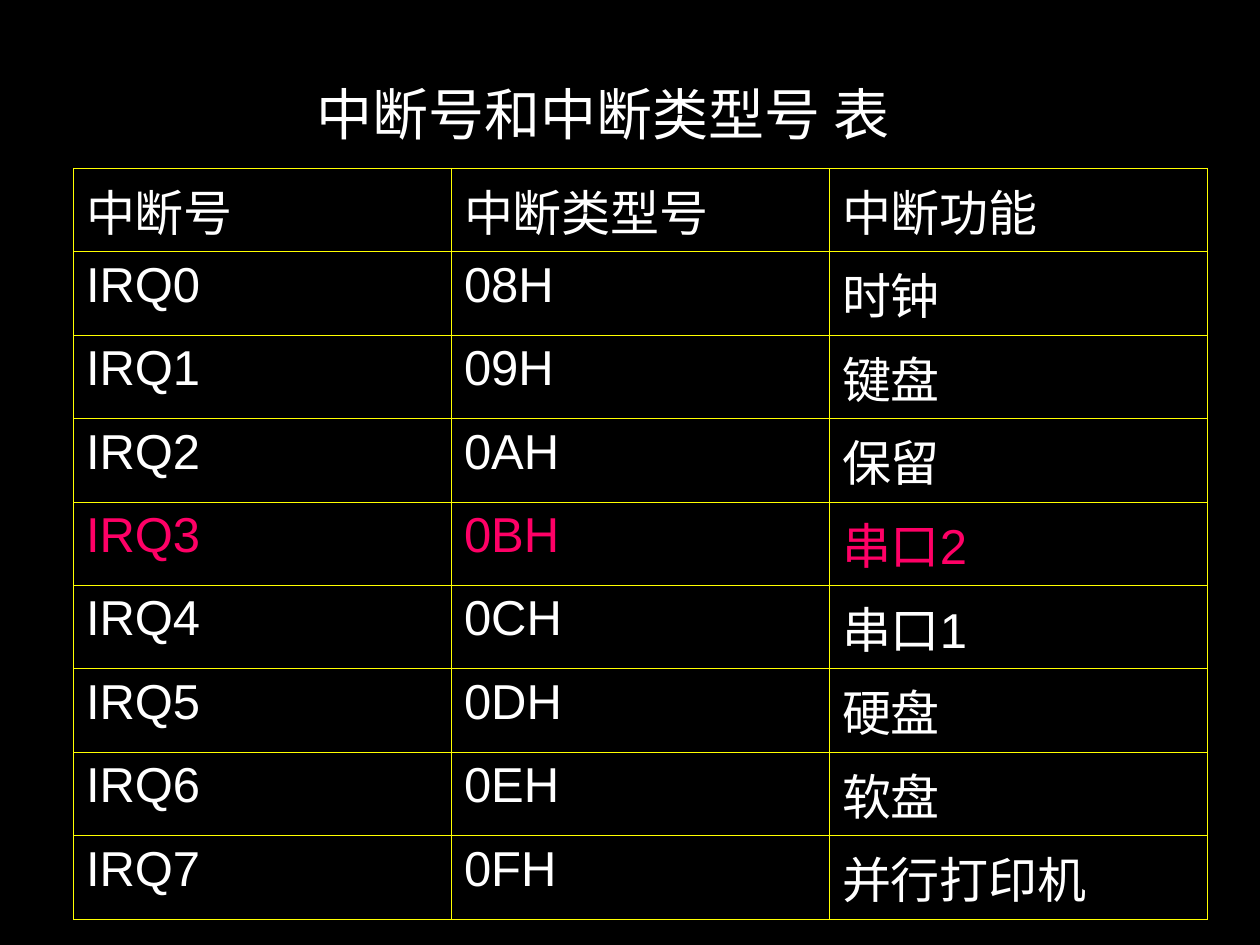
from lxml.etree import SubElement
from pptx import Presentation
from pptx.dml.color import RGBColor
from pptx.enum.text import MSO_ANCHOR, MSO_AUTO_SIZE, PP_ALIGN
from pptx.oxml.ns import qn
from pptx.util import Cm, Pt

BLACK = RGBColor(0x00, 0x00, 0x00)
WHITE = RGBColor(0xFF, 0xFF, 0xFF)
PINK = RGBColor(0xFF, 0x00, 0x66)
YELLOW = RGBColor(0xFF, 0xFF, 0x00)

FONT = "Arial"
TITLE = "中断号和中断类型号 表"
HEADINGS = ("中断号", "中断类型号", "中断功能")
FUNCTIONS = ("时钟", "键盘", "保留", "串口2", "串口1", "硬盘", "软盘", "并行打印机")
FIRST_VECTOR = 0x08
HIGHLIGHTED_IRQ = "IRQ3"


def style_paragraph(paragraph, size, color):
    paragraph.alignment = PP_ALIGN.LEFT
    font = paragraph.font
    font.name = FONT
    font.size = Pt(size)
    font.bold = False
    font.color.rgb = color


def add_cell_borders(cell, color, width):
    """Draw all four edges; called before the fill, which must follow them."""
    properties = cell._tc.get_or_add_tcPr()
    for edge in ("a:lnL", "a:lnR", "a:lnT", "a:lnB"):
        line = SubElement(properties, qn(edge), w=str(width))
        fill = SubElement(line, qn("a:solidFill"))
        SubElement(fill, qn("a:srgbClr"), val=str(color))


def place_title(slide, left, top, width, height):
    title = slide.shapes.title
    title.left, title.top, title.width, title.height = left, top, width, height
    frame = title.text_frame
    frame.text = TITLE
    frame.word_wrap = True
    frame.auto_size = MSO_AUTO_SIZE.SHAPE_TO_FIT_TEXT
    frame.vertical_anchor = MSO_ANCHOR.TOP
    style_paragraph(frame.paragraphs[0], 32, WHITE)


def add_interrupt_table(slide, left, top, width, height):
    rows = [HEADINGS]
    for number, function in enumerate(FUNCTIONS):
        rows.append((f"IRQ{number}", f"{FIRST_VECTOR + number:02X}H", function))

    table = slide.shapes.add_table(
        len(rows), len(HEADINGS), left, top, width, height
    ).table
    table.first_row = False
    table.horz_banding = False

    for row_index, row in enumerate(rows):
        color = PINK if row[0] == HIGHLIGHTED_IRQ else WHITE
        for column_index, text in enumerate(row):
            cell = table.cell(row_index, column_index)
            cell.text = text
            add_cell_borders(cell, YELLOW, Pt(0.45))
            cell.fill.background()
            style_paragraph(cell.text_frame.paragraphs[0], 28, color)


def main():
    presentation = Presentation()
    presentation.slide_width = Cm(25.4)
    presentation.slide_height = Cm(19.05)
    title_only = presentation.slide_layouts[5]
    slide = presentation.slides.add_slide(title_only)
    slide.background.fill.solid()
    slide.background.fill.fore_color.rgb = BLACK

    add_interrupt_table(slide, Cm(1.48), Cm(3.39), Cm(22.86), Cm(15.14))
    place_title(slide, Cm(6.13), Cm(1.48), Cm(13.38), Cm(1.62))
    presentation.save("out.pptx")


if __name__ == "__main__":
    main()
